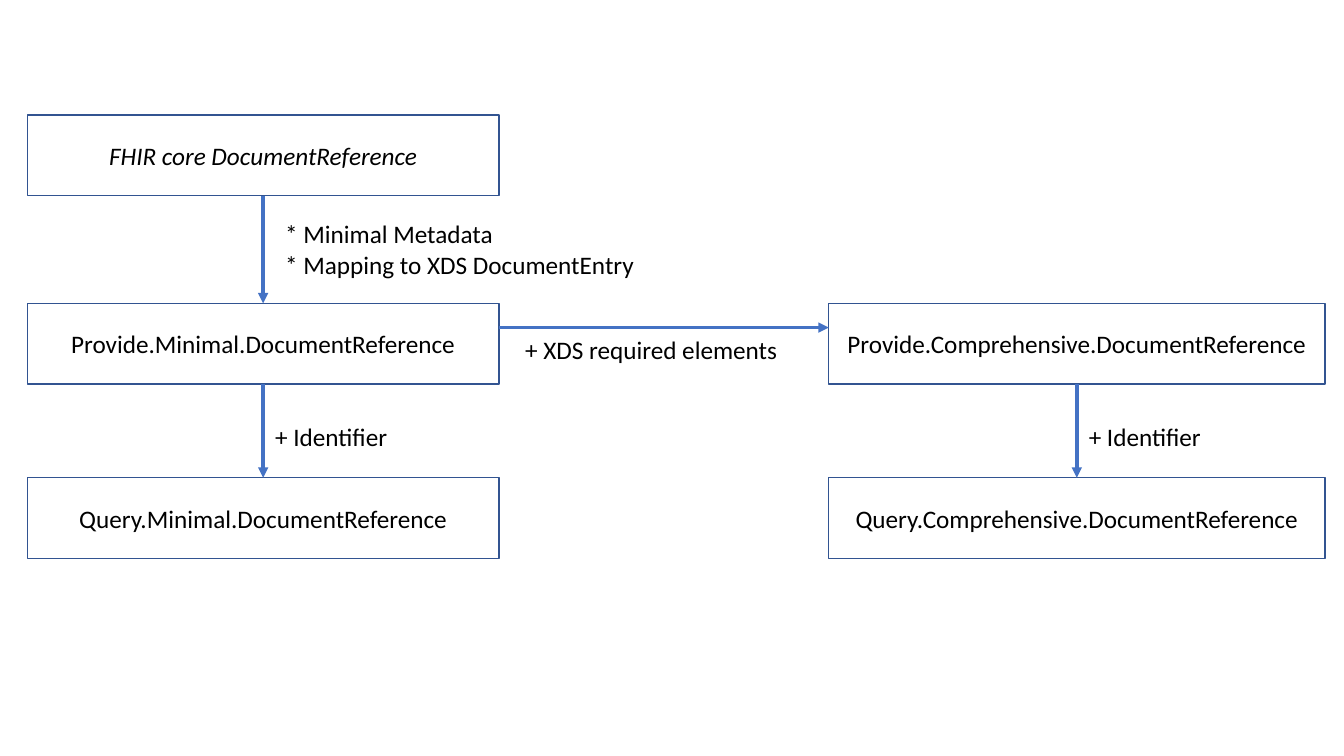
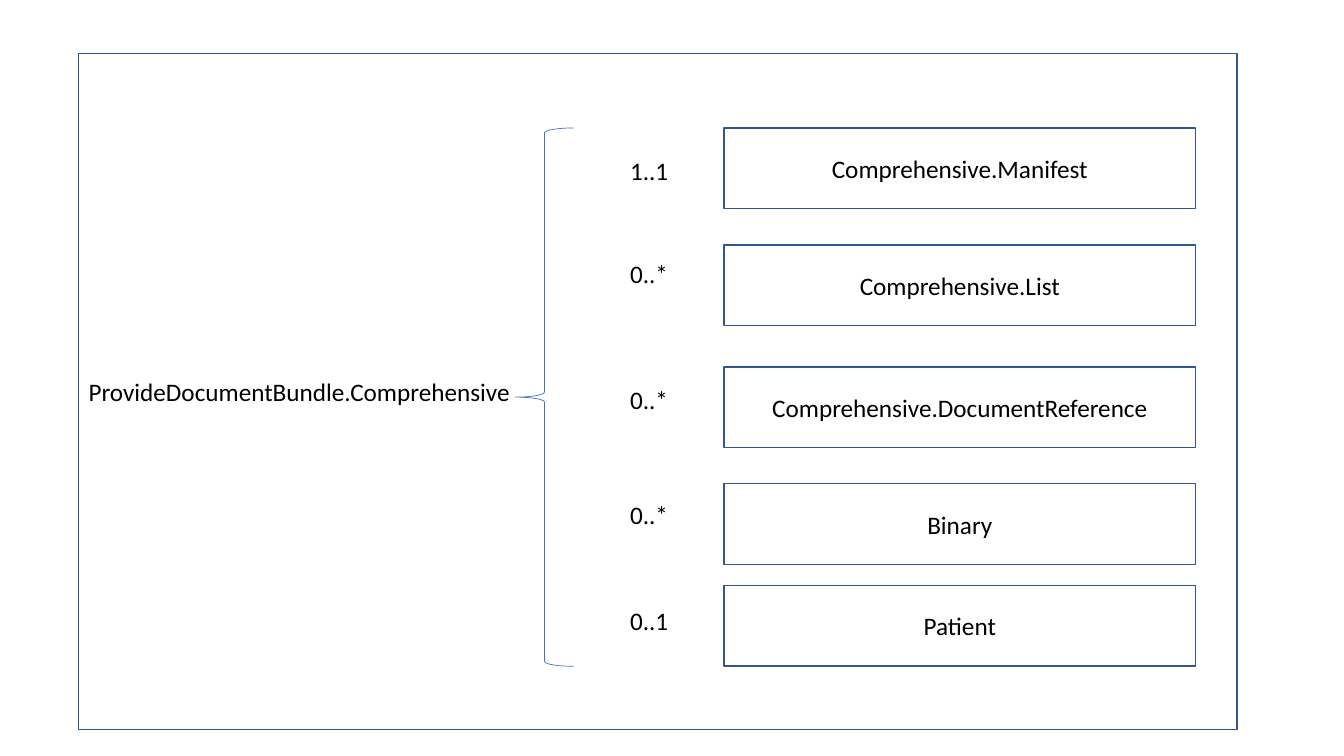
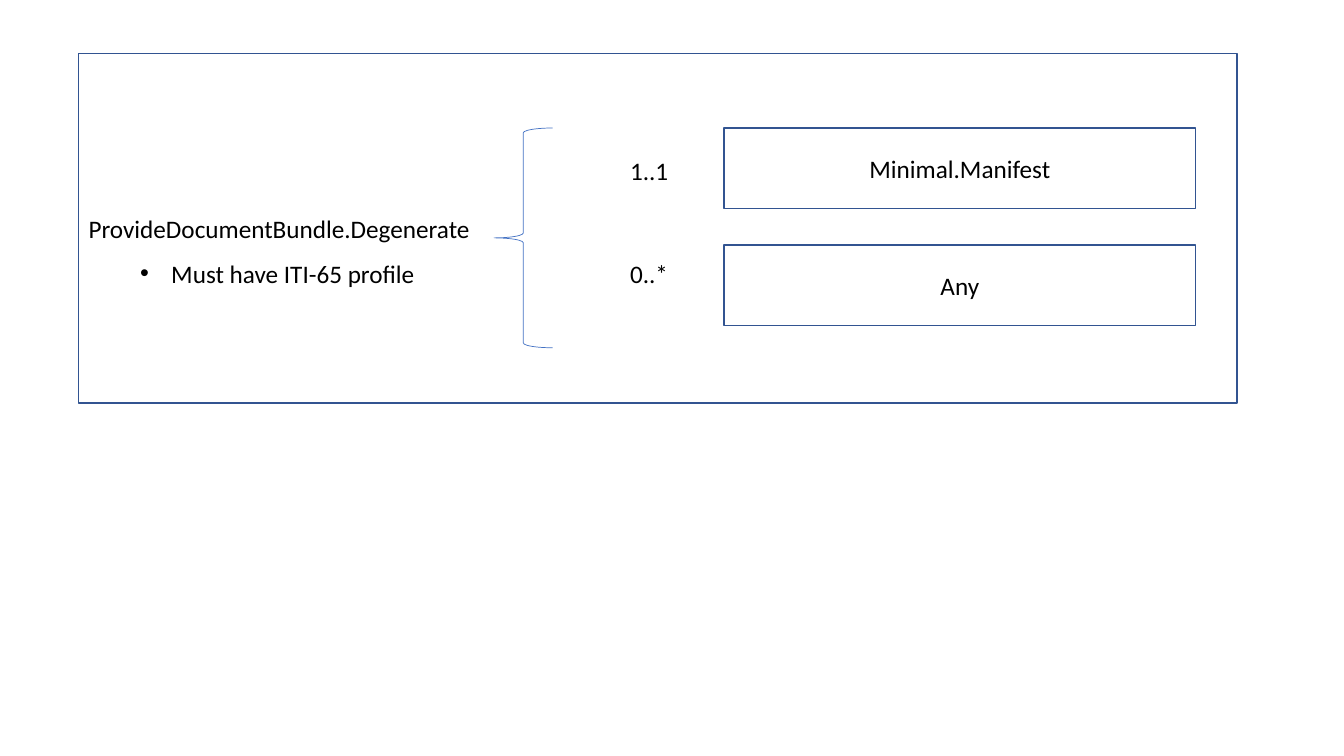
from lxml import etree
from pptx import Presentation
from pptx.dml.color import RGBColor
from pptx.enum.shapes import MSO_CONNECTOR as CONNECTOR, MSO_SHAPE as SHAPE
from pptx.enum.text import MSO_ANCHOR as ANCHOR, MSO_AUTO_SIZE as AUTO_SIZE, PP_ALIGN as ALIGN
from pptx.oxml.ns import qn
from pptx.util import Inches, Pt

OUTLINE = RGBColor(0x32, 0x54, 0x91)
ACCENT = RGBColor(0x44, 0x72, 0xC4)
BLACK = RGBColor(0, 0, 0)
FONT = "Calibri"
TEXT_SIZE = 18
BOX_WIDTH, BOX_HEIGHT = 4.68, 0.8
LABEL_HEIGHT = 0.4
FRAME_LEFT, FRAME_TOP, FRAME_WIDTH = 0.78, 0.53, 11.49


def write_text(shape, text, align=ALIGN.LEFT, anchor=ANCHOR.TOP, wrap=True, italic=False, bullet=False):
    """Fill a shape with one paragraph for each line of text."""
    frame = shape.text_frame
    frame.word_wrap = wrap
    frame.vertical_anchor = anchor
    frame.text = text
    for paragraph in frame.paragraphs:
        paragraph.alignment = align
        if bullet:
            properties = paragraph._p.get_or_add_pPr()
            indent = Inches(0.31)
            properties.set("marL", str(indent))
            properties.set("indent", str(-indent))
            etree.SubElement(properties, qn("a:buFont")).set("typeface", "Arial")
            etree.SubElement(properties, qn("a:buChar")).set("char", "•")
        for run in paragraph.runs:
            run.font.name = FONT
            run.font.size = Pt(TEXT_SIZE)
            run.font.italic = italic
            run.font.color.rgb = BLACK


def add_outline(slide, kind, left, top, width, height, color=OUTLINE, weight=1):
    """Draw a preset shape without a fill."""
    shape = slide.shapes.add_shape(kind, Inches(left), Inches(top), Inches(width), Inches(height))
    shape.shadow.inherit = False
    shape.fill.background()
    shape.line.color.rgb = color
    shape.line.width = Pt(weight)
    return shape


def add_box(slide, text, left, top, width=BOX_WIDTH, height=BOX_HEIGHT, align=ALIGN.CENTER, italic=False):
    box = add_outline(slide, SHAPE.RECTANGLE, left, top, width, height)
    write_text(box, text, align=align, anchor=ANCHOR.MIDDLE, italic=italic)
    return box


def add_label(slide, text, left, top, width, height=LABEL_HEIGHT, **text_format):
    label = slide.shapes.add_textbox(Inches(left), Inches(top), Inches(width), Inches(height))
    write_text(label, text, **text_format)
    label.text_frame.auto_size = AUTO_SIZE.SHAPE_TO_FIT_TEXT


def add_arrow(slide, start_x, start_y, end_x, end_y):
    arrow = slide.shapes.add_connector(CONNECTOR.STRAIGHT, start_x, start_y, end_x, end_y)
    arrow.line.color.rgb = ACCENT
    arrow.line.width = Pt(2.5)
    etree.SubElement(arrow.line._get_or_add_ln(), qn("a:tailEnd")).set("type", "triangle")
    etree.SubElement(arrow._element.spPr, qn("a:effectLst"))
    return arrow


def link_down(slide, upper, lower):
    """Join the bottom of one box to the top of the next."""
    arrow = add_arrow(slide, 0, 0, 0, 0)
    arrow.begin_connect(upper, 2)
    arrow.end_connect(lower, 0)


def add_profile_pair(slide, level, left, top, width):
    """Stack the Provide and Query boxes of a level, and return the upper one."""
    provide = add_box(slide, f"Provide.{level}.DocumentReference", left, top, width)
    query = add_box(slide, f"Query.{level}.DocumentReference", left, top + 1.73, width)
    link_down(slide, provide, query)
    add_label(slide, "+ Identifier", left + width / 2 + 0.02, top + 1.12, 2.78)
    return provide


def add_profile_slide(slide):
    left, pair_top = 0.27, 3.01
    core = add_box(slide, "FHIR core DocumentReference", left, 1.14, italic=True)
    minimal = add_profile_pair(slide, "Minimal", left, pair_top, BOX_WIDTH)
    comprehensive = add_profile_pair(slide, "Comprehensive", 8.22, pair_top, 4.92)
    link_down(slide, core, minimal)
    add_label(slide, "* Minimal Metadata\n* Mapping to XDS DocumentEntry", 2.73, 2.12, 3.94, 0.71)
    arrow_y = Inches(pair_top + 0.24)
    add_arrow(slide, minimal.left + minimal.width, arrow_y, comprehensive.left, arrow_y)
    add_label(slide, "+ XDS required elements", 5.11, 3.27, 2.78)


def add_bundle(slide, name, frame_height, brace_left, brace_height, members):
    """Frame a bundle; each member is (cardinality, label top, name, box top), tops from the frame."""
    add_box(slide, name, FRAME_LEFT, FRAME_TOP, FRAME_WIDTH, frame_height, align=ALIGN.LEFT)
    for cardinality, label_top, member, box_top in members:
        add_box(slide, member, FRAME_LEFT + 6.4, FRAME_TOP + box_top)
        add_label(slide, cardinality, FRAME_LEFT + 5.37, FRAME_TOP + label_top, 0.58, wrap=False)
    add_outline(slide, SHAPE.LEFT_BRACE, FRAME_LEFT + brace_left, FRAME_TOP + 0.74, 0.58, brace_height,
                color=ACCENT, weight=0.5)


def add_comprehensive_slide(slide):
    add_bundle(slide, "ProvideDocumentBundle.Comprehensive", 6.71, 4.33, 5.34, [
        ("1..1", 0.96, "Comprehensive.Manifest", 0.74),
        ("0..*", 1.98, "Comprehensive.List", 1.9),
        ("0..*", 3.23, "Comprehensive.DocumentReference", 3.11),
        ("0..*", 4.37, "Binary", 4.27),
        ("0..1", 5.43, "Patient", 5.28),
    ])


def add_degenerate_slide(slide):
    add_bundle(slide, "ProvideDocumentBundle.Degenerate", 3.47, 4.12, 2.18, [
        ("1..1", 0.96, "Minimal.Manifest", 0.74),
        ("0..*", 1.98, "Any", 1.9),
    ])
    add_label(slide, "Must have ITI-65 profile", 1.29, 2.51, 3.02, bullet=True)


def main():
    presentation = Presentation()
    presentation.slide_width = Inches(13.33)
    presentation.slide_height = Inches(7.5)
    blank_layout = presentation.slide_layouts[6]
    for fill_slide in (add_profile_slide, add_comprehensive_slide, add_degenerate_slide):
        fill_slide(presentation.slides.add_slide(blank_layout))
    presentation.save("out.pptx")


if __name__ == "__main__":
    main()
